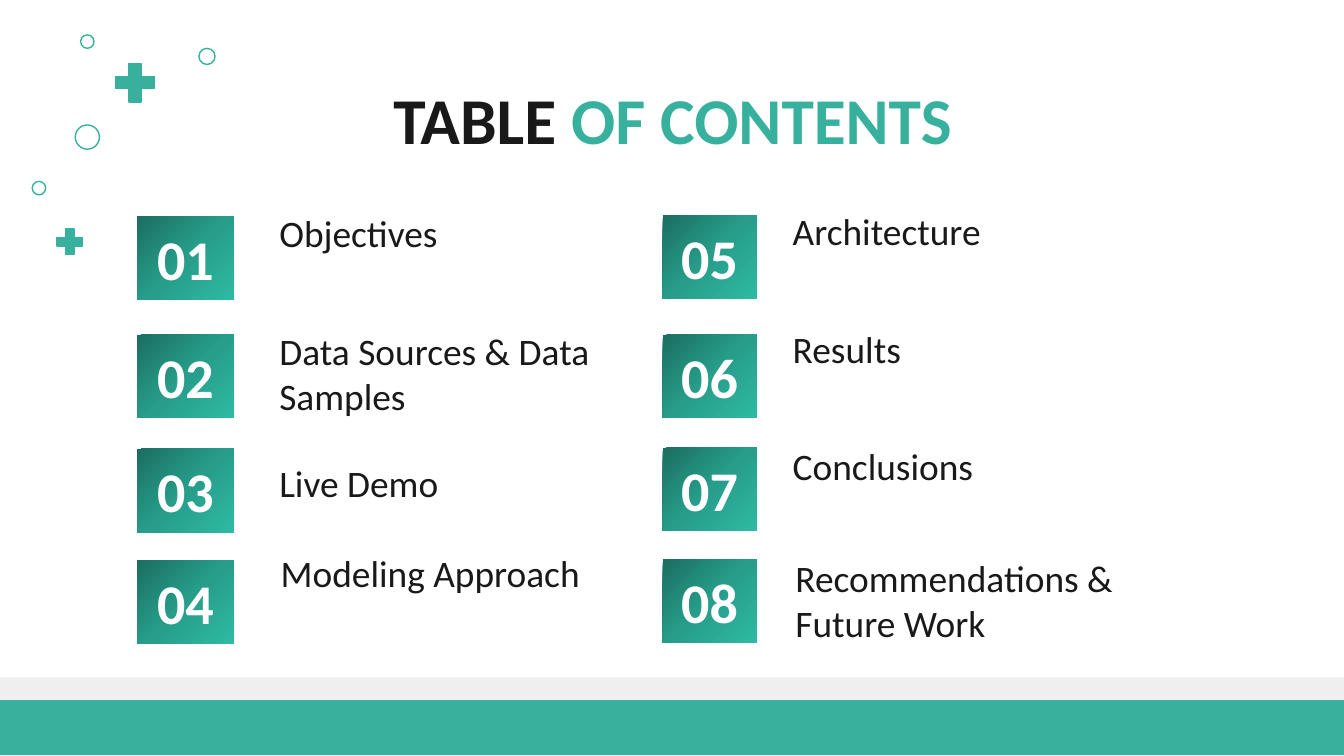
"""Builds a table of contents slide with two columns of numbered entries."""
from copy import deepcopy

from pptx import Presentation
from pptx import util as u
from pptx.dml import color
from pptx.enum import shapes, text

THEME = {
    "font": "Calibri", "title": 35, "number": 30, "label": 20,
    "teal": "37B19D", "grey": "EFEFEF", "ink": "191919", "white": "FFFFFF",
    "gradient": ("1B6E61", "279D8A", "2EBAA3"),
}
TITLE = [("TABLE ", "ink"), ("OF CONTENTS", "teal")]
BARS = [(5.04, 0.38, "grey"), (5.21, 0.41, "teal")]
COLUMNS = [
    {"left": 1.02, "size": (0.72, 0.62), "tops": (1.61, 2.49, 3.34, 4.17),
     "entries": [("Objectives", (1.98, 1.49, 2.97, 0.51)),
                 ("Data Sources & Data Samples", (1.98, 2.7, 2.97, 0.51)),
                 ("Live Demo", (1.98, 3.35, 2.97, 0.51)),
                 ("Modeling Approach", (1.99, 4.02, 2.97, 0.51))]},
    {"left": 4.93, "size": (0.7, 0.62), "tops": (1.6, 2.49, 3.33, 4.16),
     "entries": [("Architecture", (5.8, 1.47, 2.97, 0.51)),
                 ("Results", (5.8, 2.35, 2.97, 0.51)),
                 ("Conclusions", (5.8, 3.22, 3.17, 0.51)),
                 ("Recommendations & Future Work", (5.82, 4.25, 2.97, 0.65))]},
]
PLUSES = [(0.81, 0.42, 0.39), (0.39, 1.67, 0.26)]
CIRCLES = [(0.56, 0.93, 0.18), (1.48, 0.36, 0.12), (0.24, 1.35, 0.1), (0.6, 0.26, 0.1)]


def rgb(name):
    return color.RGBColor.from_string(THEME.get(name, name))


def write(shape, runs, size, anchor, align, bold=False):
    frame = shape.text_frame
    frame.auto_size = text.MSO_AUTO_SIZE.NONE
    frame.word_wrap = True
    frame.vertical_anchor = anchor
    frame.margin_left = frame.margin_right = u.Inches(0.1)
    frame.margin_top = frame.margin_bottom = u.Inches(0.1)
    paragraph = frame.paragraphs[0]
    paragraph.alignment = align
    for wording, ink in runs:
        run = paragraph.add_run()
        run.text = wording
        run.font.name = THEME["font"]
        run.font.size = u.Pt(THEME[size])
        run.font.bold = bold
        run.font.color.rgb = rgb(ink)


def add_shape(slide, kind, box, fill=None, line=None):
    shape = slide.shapes.add_shape(kind, *map(u.Inches, box))
    shape.shadow.inherit = False
    if fill:
        shape.fill.solid()
        shape.fill.fore_color.rgb = rgb(fill)
    else:
        shape.fill.background()
    if line:
        shape.line.color.rgb = rgb(line)
        shape.line.width = u.Pt(0.75)
    else:
        shape.line.fill.background()
    return shape


def fill_gradient(shape):
    shape.fill.gradient()
    shape.fill.gradient_angle = 315
    first = shape._element.xpath(".//a:gs")[0]
    first.addnext(deepcopy(first))
    for stop, position, shade in zip(shape.fill.gradient_stops, (0, 0.5, 1), THEME["gradient"]):
        stop.position = position
        stop.color.rgb = rgb(shade)


def add_title(slide):
    title = slide.shapes.title
    title.left, title.top, title.width, title.height = map(u.Inches, (0.79, 0.49, 8.43, 0.63))
    write(title, TITLE, "title", text.MSO_ANCHOR.TOP, text.PP_ALIGN.CENTER, True)


def add_column(slide, column, start):
    rows = zip(column["tops"], column["entries"])
    for number, (top, (label, label_box)) in enumerate(rows, start):
        box = (column["left"], top, *column["size"])
        tile = add_shape(slide, shapes.MSO_SHAPE.RECTANGLE, box)
        fill_gradient(tile)
        write(tile, [(f"{number:02}", "white")], "number",
              text.MSO_ANCHOR.MIDDLE, text.PP_ALIGN.CENTER, True)
        caption = slide.shapes.add_textbox(*map(u.Inches, label_box))
        write(caption, [(label, "ink")], "label", text.MSO_ANCHOR.BOTTOM, text.PP_ALIGN.LEFT)


def main():
    presentation = Presentation()
    presentation.slide_width = u.Inches(10)
    presentation.slide_height = presentation.slide_width * 9 // 16
    slide = presentation.slides.add_slide(presentation.slide_layouts[5])
    add_title(slide)
    for top, height, fill in BARS:
        add_shape(slide, shapes.MSO_SHAPE.RECTANGLE, (0, top, 10.02, height), fill)
    for left, top, side in PLUSES:
        plus = add_shape(slide, shapes.MSO_SHAPE.MATH_PLUS, (left, top, side, side), "teal", "teal")
        plus.adjustments[0] = 0.235
    for left, top, side in CIRCLES:
        add_shape(slide, shapes.MSO_SHAPE.OVAL, (left, top, side, side), line="teal")
    start = 1
    for column in COLUMNS:
        add_column(slide, column, start)
        start += len(column["entries"])
    presentation.save("out.pptx")


if __name__ == "__main__":
    main()
